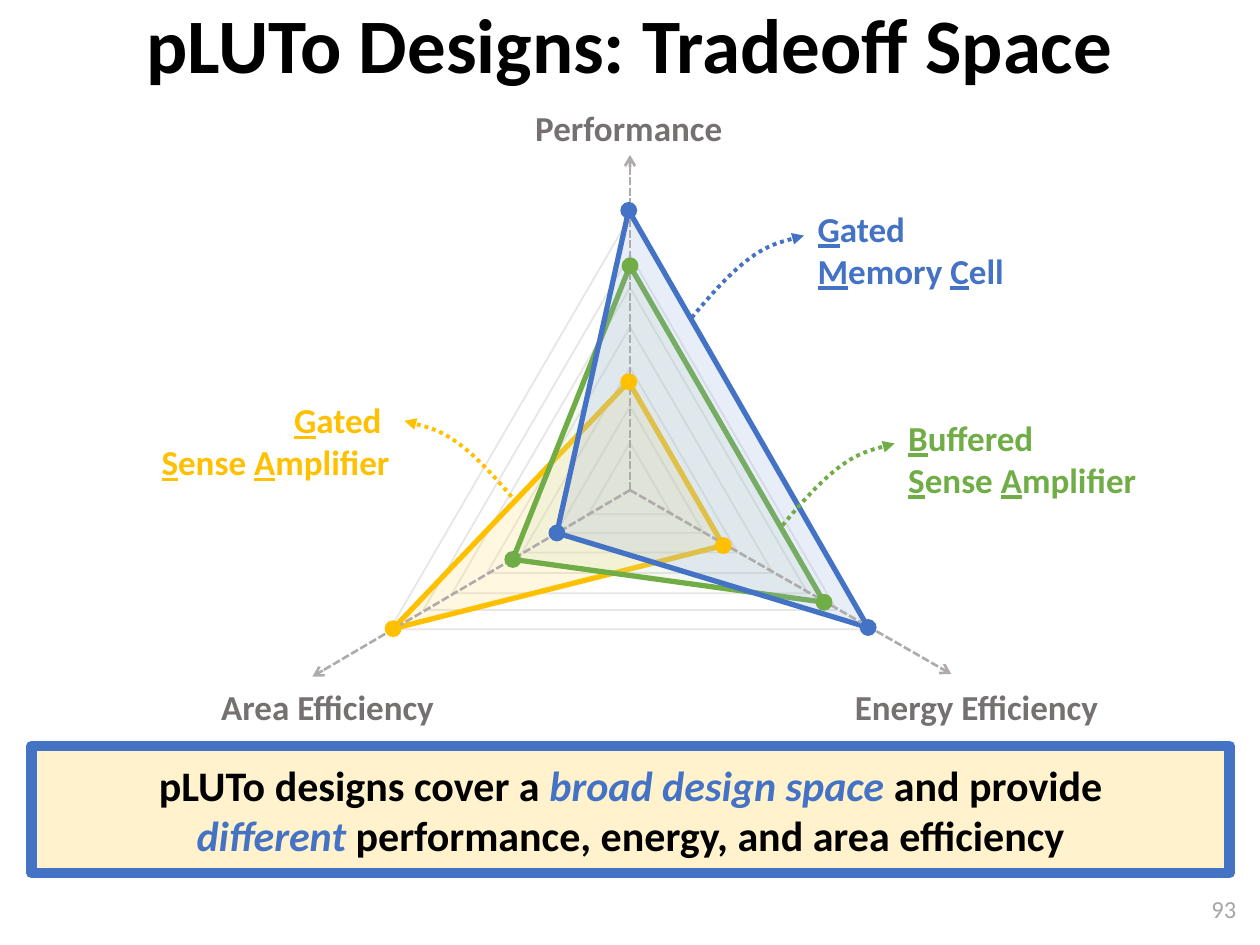
import pptx
import pptx.util
from lxml import etree
from pptx.dml.color import RGBColor
from pptx.enum.dml import MSO_LINE
from pptx.enum.shapes import MSO_CONNECTOR, MSO_SHAPE
from pptx.enum.text import MSO_ANCHOR, MSO_AUTO_SIZE, PP_ALIGN
from pptx.oxml.ns import qn
from pptx.util import Inches, Pt

HUES = {
    "black": "000000", "page": "A6A6A6", "grid": "E7E6E6",
    "axis": "AFABAB", "label": "767171", "cream": "FFF2CC",
    "gold": "FFC000", "green": "70AD47", "blue": "4472C4",
    "pale gold": "FFD966", "pale green": "C5E0B4", "pale blue": "8FAADC",
}
RGB = {name: RGBColor.from_string(code) for name, code in HUES.items()}


def write(frame, text, size, hue, align, bold=True):
    """Fill a frame with one paragraph; return the runs marked by *stars*."""
    frame.word_wrap = True
    frame.auto_size = MSO_AUTO_SIZE.NONE
    frame.vertical_anchor = MSO_ANCHOR.MIDDLE
    par = frame.paragraphs[0]
    par.alignment = align
    marked = []
    for row, line in enumerate(text.split("\n")):
        if row:
            par.add_line_break()
        for i, part in enumerate(line.split("*")):
            if part:
                run = par.add_run()
                run.text = part
                if i % 2:
                    marked.append(run)
    par.font.name = "Calibri"
    par.font.size = Pt(size)
    par.font.bold = bold
    par.font.color.rgb = RGB[hue]
    return marked


def stroke(shape, hue, width, dash=None, head=None):
    """Set the outline, with an optional arrowhead at its end."""
    line = shape.line
    line.color.rgb = RGB[hue]
    line.width = Pt(width)
    if dash:
        line.dash_style = dash
    if head:
        etree.SubElement(line._get_or_add_ln(), qn("a:tailEnd"), type=head)


prs = pptx.Presentation()
prs.slide_width, prs.slide_height = Inches(10), Inches(7.5)
slide = prs.slides.add_slide(prs.slide_layouts[5])
shapes = slide.shapes

title = shapes.title
title.left, title.top = Inches(0.5), Inches(0)
title.width, title.height = Inches(9), Inches(0.77)
write(title.text_frame, "pLUTo Designs: Tradeoff Space", 44, "black", PP_ALIGN.CENTER)
title.text_frame.paragraphs[0].line_spacing = 0.9

page = shapes.add_textbox(Inches(7.66), Inches(7.01), Inches(2.25), Inches(0.4))
write(page.text_frame, "93", 14, "page", PP_ALIGN.RIGHT, bold=False)

# Grid of nested triangles around the origin of the axes
mid_x, mid_y = 5, 3.89
for side in (3.81, 3.28, 2.82, 2.27, 1.71, 1.17, 0.66):
    tri = shapes.add_shape(
        MSO_SHAPE.ISOSCELES_TRIANGLE, Inches(mid_x - side / 2),
        Inches(mid_y - 0.57 * side), Inches(side), Inches(0.86 * side))
    tri.shadow.inherit = False
    tri.fill.background()
    stroke(tri, "grid", 1)

# Each design: hue and its points on performance, energy and area
designs = [
    ("gold", [(4.99, 3.03), (5.74, 4.33), (3.12, 4.99)]),
    ("green", [(5, 2.11), (6.54, 4.78), (4.07, 4.44)]),
    ("blue", [(4.99, 1.67), (6.89, 4.98), (4.42, 4.23)]),
]
for hue, dots in designs:
    pts = [(Inches(x), Inches(y)) for x, y in dots]
    pen = shapes.build_freeform(*pts[0])
    pen.add_line_segments(pts[1:], close=True)
    area = pen.convert_to_shape()
    area.shadow.inherit = False
    area.fill.solid()
    area.fill.fore_color.rgb = RGB["pale " + hue]
    clr = area.fill._xPr.find(qn("a:solidFill"))[0]
    etree.SubElement(clr, qn("a:alpha"), val="20000")
    stroke(area, hue, 3)

# Axes: end point, then label and its place
axes = [
    (5, 1.23, "Performance", 3.85, 0.66),
    (2.48, 5.37, "Area Efficiency", 1.46, 5.26),
    (7.55, 5.35, "Energy Efficiency", 6.61, 5.26),
]
for x, y, name, left, top in axes:
    axis = shapes.add_connector(
        MSO_CONNECTOR.STRAIGHT, Inches(mid_x), Inches(mid_y), Inches(x), Inches(y))
    etree.SubElement(axis._element.spPr, qn("a:effectLst"))
    stroke(axis, "axis", 1.5, MSO_LINE.SQUARE_DOT, "arrow")
    # The system dash is finer than the preset one
    axis.line._get_or_add_ln().find(qn("a:prstDash")).set("val", "sysDash")
    box = shapes.add_textbox(Inches(left), Inches(top), Inches(2.28), Inches(0.7))
    write(box.text_frame, name, 20, "label", PP_ALIGN.CENTER)

# Callouts: curve start and direction, then text and its place
bend = [(0, 0), (0.15, 0.18), (0.31, 0.36), (0.46, 0.47),
        (0.61, 0.58), (0.78, 0.62), (0.89, 0.65)]
calls = [
    ("gold", 4.1, 3.99, -1, "*G*ated \n*S*ense *A*mplifier", 0.91, 3.15),
    ("green", 6.21, 4.17, 1, "*B*uffered\n*S*ense *A*mplifier", 7.11, 3.29),
    ("blue", 5.49, 2.52, 1, "*G*ated\n*M*emory *C*ell", 6.39, 1.63),
]
for hue, x, y, way, text, left, top in calls:
    pts = [(Inches(x + way * dx), Inches(y - dy)) for dx, dy in bend]
    pen = shapes.build_freeform(*pts[0])
    pen.add_line_segments(pts[1:], close=False)
    curve = pen.convert_to_shape()
    # Every three straight segments become one cubic curve
    steps = list(curve._element.iter(qn("a:lnTo")))
    for i in range(0, len(steps), 3):
        steps[i].addprevious(cubic := etree.Element(qn("a:cubicBezTo")))
        for step in steps[i:i + 3]:
            cubic.append(step[0])
            step.getparent().remove(step)
    curve.shadow.inherit = False
    curve.fill.background()
    stroke(curve, hue, 2.25, MSO_LINE.ROUND_DOT, "triangle")
    box = shapes.add_textbox(Inches(left), Inches(top), Inches(2.28), Inches(0.7))
    align = PP_ALIGN.RIGHT if way < 0 else PP_ALIGN.LEFT
    for run in write(box.text_frame, text, 20, hue, align):
        run.font.underline = True

size = 0.12
for hue, dots in designs:
    for x, y in dots:
        dot = shapes.add_shape(
            MSO_SHAPE.OVAL, Inches(x - size / 2), Inches(y - size / 2),
            Inches(size), Inches(size))
        dot.shadow.inherit = False
        dot.fill.solid()
        dot.fill.fore_color.rgb = RGB[hue]
        stroke(dot, hue, 1)

banner = shapes.add_shape(
    MSO_SHAPE.RECTANGLE, Inches(0.25), Inches(5.92), Inches(9.51), Inches(1.01))
banner.shadow.inherit = False
banner.fill.solid()
banner.fill.fore_color.rgb = RGB["cream"]
stroke(banner, "blue", 6)
claim = ("pLUTo designs cover a *broad design space* and provide\n"
         "*different* performance, energy, and area efficiency")
for run in write(banner.text_frame, claim, 24, "black", PP_ALIGN.CENTER):
    run.font.italic = True
    run.font.color.rgb = RGB["blue"]

prs.save("out.pptx")
